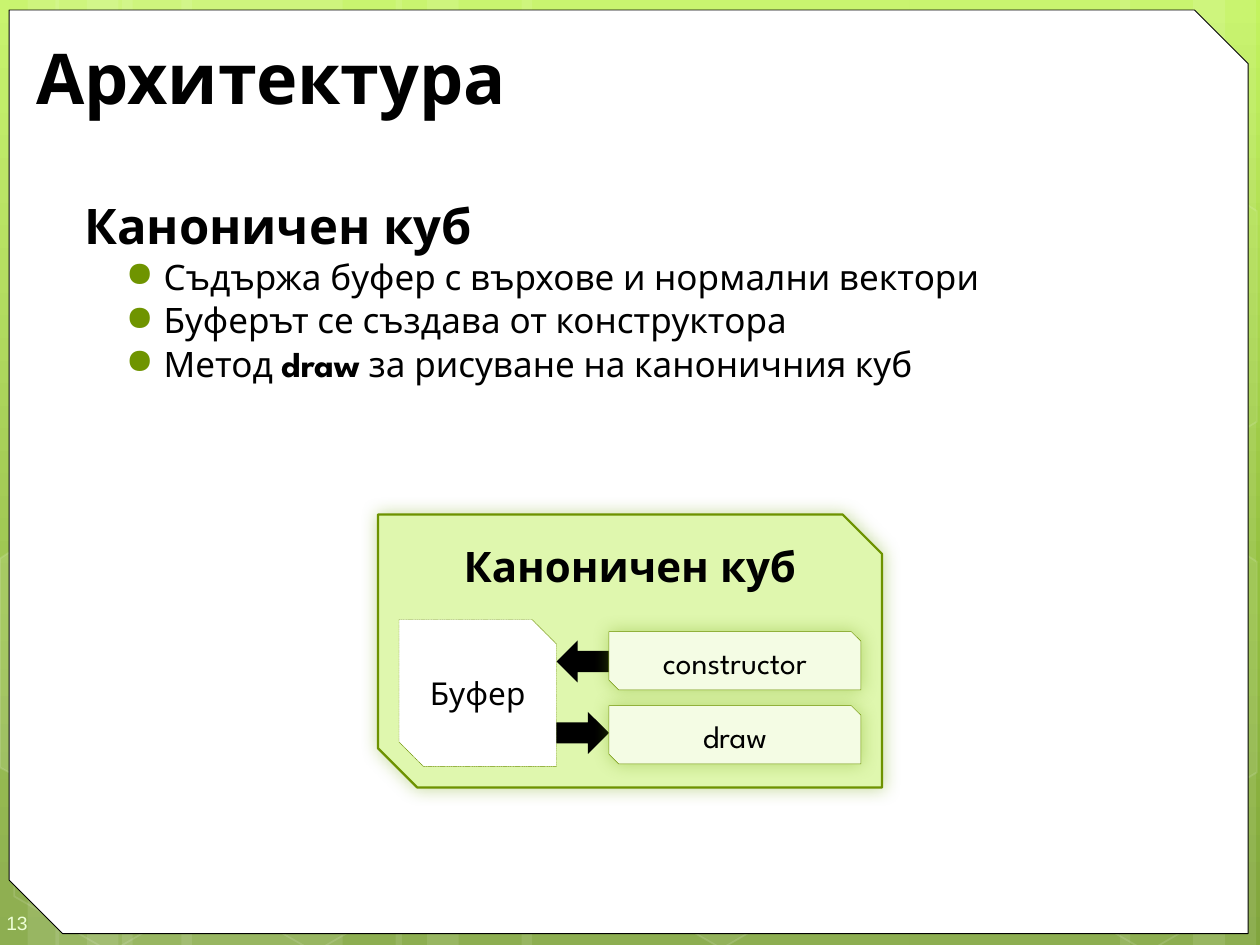
from copy import deepcopy

from lxml import etree
from pptx import Presentation
from pptx import util as u
from pptx.dml.color import RGBColor
from pptx.enum import dml, shapes, text
from pptx.oxml.ns import qn

COLUMNS, ROWS = 120, 90
COLORS = {
    "white": "FFFFFF", "black": "000000", "green": "6D9200", "bullet": "6F9400",
    "card": "DFF7AE", "method": "F4FCE4", "glow": "74A510", "number": "EEFFD6",
    "top": "C3F35F", "middle": "93BF3F", "bottom": "81A53E",
}
SHAPE = shapes.MSO_SHAPE
ANCHOR = text.MSO_ANCHOR
FONT = "League Spartan"


def rgb(name):
    return RGBColor.from_string(COLORS[name])


class Deck:
    def __init__(self):
        self.presentation = Presentation()
        self.presentation.slide_width = u.Inches(10)
        self.presentation.slide_height = u.Inches(7.5)
        self.slide = self.presentation.slides.add_slide(self.presentation.slide_layouts[6])
        self.column = self.presentation.slide_width / COLUMNS
        self.row = self.presentation.slide_height / ROWS

    def place(self, left, top, width, height):
        return [u.Emu(round(value * unit)) for value, unit in
                zip((left, top, width, height), (self.column, self.row) * 2)]

    def background(self, stops):
        fill = self.slide.background.fill
        fill.gradient()
        fill.gradient_angle = 270
        first = next(self.slide.element.iter(qn("a:gs")))
        first.addnext(deepcopy(first))
        for stop, (position, color) in zip(fill.gradient_stops, stops):
            stop.position = position
            stop.color.rgb = rgb(color)

    def set_alpha(self, color_parent, percent):
        for color in color_parent.iter(qn("a:srgbClr")):
            etree.SubElement(color, qn("a:alpha"), val=str(percent * 1000))

    def paint(self, shape, fill=None, line=None, weight=0.25, fill_alpha=100, line_alpha=100):
        shape.shadow.inherit = False
        properties = shape.element.spPr
        if fill:
            shape.fill.solid()
            shape.fill.fore_color.rgb = rgb(fill)
            if fill_alpha < 100:
                self.set_alpha(properties.find(qn("a:solidFill")), fill_alpha)
        else:
            shape.fill.background()
        if line:
            shape.line.color.rgb = rgb(line)
            shape.line.width = u.Pt(weight)
            if line_alpha < 100:
                self.set_alpha(properties.find(qn("a:ln")), line_alpha)
        else:
            shape.line.fill.background()
        return shape

    def shape(self, kind, box, rotation=0, snip=None, **paint):
        shape = self.slide.shapes.add_shape(kind, *self.place(*box))
        shape.rotation = rotation
        if snip:
            shape.adjustments[1] = snip
        return self.paint(shape, **paint)

    def hexagon(self, left, top, **paint):
        shape = self.shape(SHAPE.HEXAGON, (left, top, 21, 18.24), 30,
                           line="white", weight=1, line_alpha=12, **paint)
        shape.adjustments[0] = 0.285

    def outline(self, points, **paint):
        corners = [self.place(*point, 0, 0)[:2] for point in points]
        builder = self.slide.shapes.build_freeform(*corners[0])
        builder.add_line_segments(corners[1:], close=True)
        self.paint(builder.convert_to_shape(), line="white", weight=1, line_alpha=12, **paint)

    def glow(self, shape):
        effects = shape.element.spPr.find(qn("a:effectLst"))
        shadow = etree.SubElement(effects, qn("a:outerShdw"), blurRad=str(u.Pt(10)),
                                  dist="0", dir="2700000", rotWithShape="0")
        etree.SubElement(shadow, qn("a:srgbClr"), val=COLORS["glow"])
        self.set_alpha(shadow, 40)

    def format_runs(self, paragraph, size, bold=False, color="black", font=FONT):
        for run in paragraph.runs:
            run.font.size = u.Pt(size)
            run.font.bold = bold
            run.font.name = font
            run.font.color.rgb = rgb(color)

    def card(self, label, box, size, fill, weight=0.25, snip=None, bold=False,
             anchor=ANCHOR.TOP, glow=True):
        shape = self.shape(SHAPE.SNIP_2_DIAG_RECTANGLE, box, snip=snip,
                           fill=fill, line="green", weight=weight)
        if glow:
            self.glow(shape)
        else:
            shape.line.dash_style = dml.MSO_LINE.SQUARE_DOT
        frame = shape.text_frame
        frame.margin_left = frame.margin_right = 0
        frame.vertical_anchor = anchor
        frame.text = label
        frame.paragraphs[0].alignment = text.PP_ALIGN.CENTER
        self.format_runs(frame.paragraphs[0], size, bold)

    def text_box(self, box, content, size, anchor=ANCHOR.MIDDLE, **style):
        frame = self.slide.shapes.add_textbox(*self.place(*box)).text_frame
        frame.word_wrap = True
        frame.vertical_anchor = anchor
        frame.text = content
        self.format_runs(frame.paragraphs[0], size, **style)
        return frame

    def bullet(self, frame, parts):
        paragraph = frame.add_paragraph()
        paragraph.level = 1
        paragraph.space_before = u.Pt(0.8)
        properties = paragraph._p.get_or_add_pPr()
        properties.set("marL", str(u.Inches(0.7)))
        properties.set("indent", str(u.Inches(-0.3)))
        color = etree.SubElement(properties, qn("a:buClr"))
        etree.SubElement(color, qn("a:srgbClr"), val=COLORS["bullet"])
        etree.SubElement(properties, qn("a:buChar"), char="●")
        for part in parts:
            paragraph.add_run().text = part
        self.format_runs(paragraph, 20)
        for run in paragraph.runs[1::2]:
            run.font.bold = True


def draw_backdrop(deck):
    deck.background([(0, "top"), (0.62, "middle"), (1, "bottom")])
    bands = [(11.64, 21), (0, 5.64), (2.64, 10), (17.28, 21), (5.28, 6), (8.28, 10),
             (86.64, 21), (113.64, 6), (106.68, 10), (49.68, 36.96), (37.68, 6), (40.68, 10)]
    for left, width in bands:
        deck.shape(SHAPE.RECTANGLE, (left, 0, width, ROWS), fill="white", fill_alpha=10)
    for left in (0, 19.44, 98.76):
        deck.hexagon(left, 71)
    deck.hexagon(58.2, 70.68, fill="white", fill_alpha=6)
    deck.outline([(0, 53.2), (0.96, 52.56), (10.2, 57.84), (10.08, 68.4), (1.08, 73.68),
                  (0, 73.1)], fill="white", fill_alpha=10)
    edge = [(109.8, 58.2), (118.8, 52.92), (119.7, 53.52), (119.7, 73.56),
            (118.92, 74.04), (109.68, 68.76)]
    deck.outline(edge, fill="white", fill_alpha=4)
    deck.outline([(column, row - 33.4) for column, row in edge])
    deck.shape(SHAPE.SNIP_2_DIAG_RECTANGLE, (0.87, 0.96, 118, 87.96), snip=0.058,
               fill="white", line="black", weight=0.5)


def draw_text(deck):
    number = deck.text_box((0, 85.2, 7, 4.8), "13", 11, color="number", font="Arial")
    number.margin_left, number.margin_right = u.Inches(0.05), 0
    number.margin_top, number.margin_bottom = u.Inches(0.15), u.Inches(0.1)
    deck.text_box((2.28, 3, 113.64, 8.52), "Архитектура", 40, bold=True)
    body = deck.text_box((6, 18, 113, 71), "Каноничен куб", 28, ANCHOR.TOP, bold=True)
    body.paragraphs[0]._p.get_or_add_pPr().set("marL", str(u.Inches(0.07)))
    for parts in (["Съдържа буфер с върхове и нормални вектори"],
                  ["Буферът се създава от конструктора"],
                  ["Метод ", "draw", " за рисуване на каноничния куб"]):
        deck.bullet(body, parts)


def draw_cube(deck):
    deck.card("Каноничен куб", (36, 49, 48, 26), 24, "card", weight=1.25, snip=0.144, bold=True)
    deck.card("Буфер", (38, 59, 15, 14), 18, "white", anchor=ANCHOR.MIDDLE, glow=False)
    for index, (label, rotation) in enumerate([("constructor", 180), ("draw", 0)]):
        deck.shape(SHAPE.RIGHT_ARROW, (53, 61 + 6.8 * index, 5, 4), rotation, fill="black")
        deck.card(label, (58, 60.15 + 7.05 * index, 24, 5.55), 18, "method")


def main():
    deck = Deck()
    draw_backdrop(deck)
    draw_text(deck)
    draw_cube(deck)
    deck.presentation.save("out.pptx")


if __name__ == "__main__":
    main()
